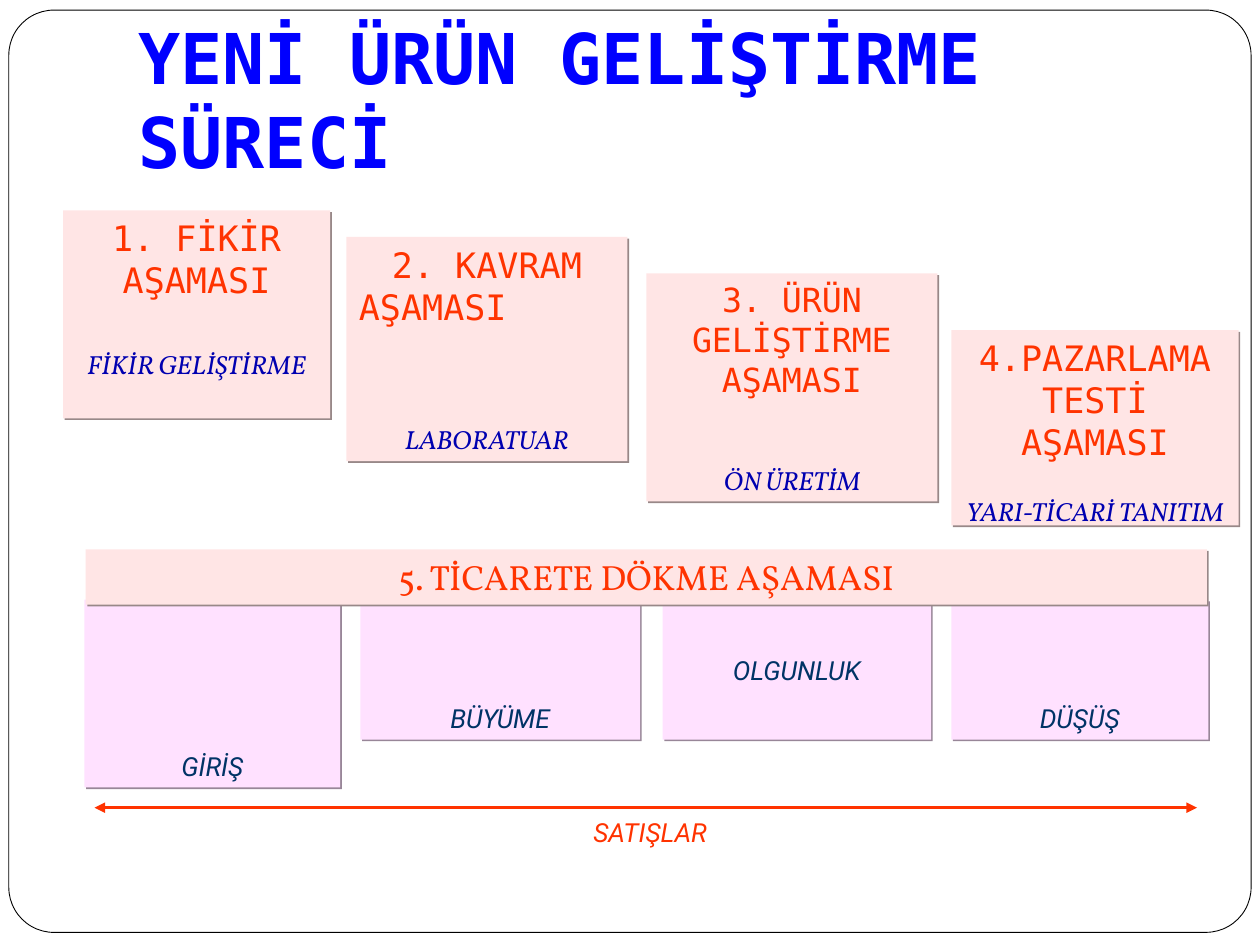
import pptx
import pptx.util
import pptx.dml.color
import pptx.enum.dml
import pptx.enum.shapes
import pptx.enum.text
import pptx.oxml
import pptx.oxml.ns
from pptx.util import Inches

MONO, SANS, SERIF = "DejaVu Sans Mono", "Roboto", "Vollkorn"
RED, NAVY, BLUE = "FF3300", "0000B0", "003366"
PINK, LILAC = "FFE5E5", "FFE1FF"
SHADOWS = {PINK: "988888", LILAC: "988698"}
ALIGN = pptx.enum.text.PP_ALIGN
ANCHOR = pptx.enum.text.MSO_ANCHOR
SHAPE = pptx.enum.shapes.MSO_SHAPE


def color(value):
    """Turn a hex string into a colour."""
    return pptx.dml.color.RGBColor.from_string(value)


def drawing_xml(tag, attributes="", content=""):
    """Make one DrawingML element."""
    space = pptx.oxml.ns.nsdecls("a")
    return pptx.oxml.parse_xml(f"<a:{tag} {space} {attributes}>{content}</a:{tag}>")


def add_text(para, text, font=SANS, size=15, ink=RED, bold=False, italic=False,
             align=ALIGN.CENTER, before=0):
    """Write formatted text into a paragraph."""
    para.alignment = align
    para.space_before = pptx.util.Pt(before)
    span = para.add_run()
    span.text = text
    span.font.name = font
    span.font.size = pptx.util.Pt(size)
    span.font.bold = bold
    span.font.italic = italic
    span.font.color.rgb = color(ink)


def prepare_frame(shape, anchor, bottom=0.05):
    """Set wrapping, anchor and insets of a shape's text."""
    frame = shape.text_frame
    frame.word_wrap = True
    frame.auto_size = pptx.enum.text.MSO_AUTO_SIZE.NONE
    frame.vertical_anchor = anchor
    frame.margin_left = frame.margin_right = Inches(0.1)
    frame.margin_top, frame.margin_bottom = Inches(0.05), Inches(bottom)
    return frame


def add_panel(page, box, fill, anchor=ANCHOR.TOP):
    """Add a rectangle with a thin hard shadow and return its text frame."""
    panel = page.shapes.add_shape(SHAPE.RECTANGLE, *map(Inches, box))
    panel.fill.solid()
    panel.fill.fore_color.rgb = color(fill)
    panel.line.fill.background()
    panel._element.spPr.append(drawing_xml(
        "effectLst", content='<a:outerShdw dist="17780" dir="2700000" algn="ctr" '
        f'rotWithShape="0"><a:srgbClr val="{SHADOWS[fill]}"/></a:outerShdw>'))
    return prepare_frame(panel, anchor)


def add_border(page, box):
    """Add the rounded page border behind everything else."""
    border = page.shapes.add_shape(SHAPE.ROUNDED_RECTANGLE, *map(Inches, box))
    border.adjustments[0] = 0.049
    border.shadow.inherit = False
    border.fill.solid()
    border.fill.fore_color.rgb = color("FFFFFF")
    border.line.color.rgb = color("000000")
    border.line.width = pptx.util.Pt(0.5)
    page.shapes._spTree.insert(2, border._element)


def add_title(page, box, text):
    """Place and format the title placeholder."""
    title = page.shapes.title
    title.left, title.top, title.width, title.height = map(Inches, box)
    frame = prepare_frame(title, ANCHOR.BOTTOM, bottom=0.1)
    add_text(frame.paragraphs[0], text, font=MONO, size=40, ink="0000FF",
             bold=True, align=ALIGN.LEFT)


def add_stage(page, box, headings, activity, gap, size=20):
    """Add a stage panel: heading lines, then the activity after a gap."""
    frame = add_panel(page, box, PINK)
    for index, (heading, align) in enumerate(headings):
        para = frame.add_paragraph() if index else frame.paragraphs[0]
        add_text(para, heading, font=MONO, size=size, align=align)
    add_text(frame.add_paragraph(), activity, font=SERIF, ink=NAVY,
             italic=True, before=gap)


def add_market_phases(page, left, top, width):
    """Add the commercialisation bar, its four phases and the sales arrow."""
    phases = [
        ("GİRİŞ", -0.01, 2.03, 1.49, ANCHOR.BOTTOM),
        ("BÜYÜME", 2.18, 2.22, 1.11, ANCHOR.BOTTOM),
        ("OLGUNLUK", 4.58, 2.13, 1.11, ANCHOR.MIDDLE),
        ("DÜŞÜŞ", 6.87, 2.04, 1.11, ANCHOR.BOTTOM),
    ]
    for name, offset, phase_width, height, anchor in phases:
        box = (left + offset, top + 0.4, phase_width, height)
        frame = add_panel(page, box, LILAC, anchor)
        add_text(frame.paragraphs[0], name, ink=BLUE, italic=True)

    bar = add_panel(page, (left, top, width, 0.44), PINK)
    add_text(bar.paragraphs[0], "5. TİCARETE DÖKME AŞAMASI", font=SERIF, size=20)

    arrow_y = Inches(top + 2.05)
    arrow = page.shapes.add_connector(
        pptx.enum.shapes.MSO_CONNECTOR.STRAIGHT,
        Inches(left + 0.07), arrow_y, Inches(left + width - 0.08), arrow_y)
    arrow.line.color.rgb = color(RED)
    arrow.line.width = pptx.util.Pt(2)
    line = arrow.line._get_or_add_ln()
    for end in ("headEnd", "tailEnd"):
        line.append(drawing_xml(end, 'type="triangle"'))
    arrow._element.spPr.append(drawing_xml("effectLst"))

    label = page.shapes.add_textbox(
        *map(Inches, (left + 2.74, top + 2.07, 3.48, 0.35)))
    frame = prepare_frame(label, ANCHOR.TOP)
    add_text(frame.paragraphs[0], "SATIŞLAR", italic=True)


def build_process_slide(deck):
    """Build the product development process slide."""
    page = deck.slides.add_slide(deck.slide_layouts[5])
    add_border(page, (0.07, 0.08, 9.86, 7.32))
    add_title(page, (1, 0.3, 8.5, 1.25), "YENİ ÜRÜN GELİŞTİRME SÜRECİ")
    center, left = ALIGN.CENTER, ALIGN.LEFT
    add_stage(page, (0.5, 1.67, 2.12, 1.65),
              [("1. FİKİR AŞAMASI", center)], "FİKİR GELİŞTİRME", 27)
    add_stage(page, (2.75, 1.88, 2.23, 1.78),
              [("2. KAVRAM", center), ("AŞAMASI", left)], "LABORATUAR", 55)
    add_stage(page, (5.13, 2.17, 2.31, 1.81),
              [("3. ÜRÜN GELİŞTİRME AŞAMASI", center)], "ÖN ÜRETİM", 37, size=19)
    add_stage(page, (7.55, 2.62, 2.28, 1.55),
              [("4.PAZARLAMA TESTİ AŞAMASI", center)], "YARI-TİCARİ TANITIM", 19)
    add_market_phases(page, 0.68, 4.36, 8.9)


deck = pptx.Presentation()
deck.slide_width, deck.slide_height = Inches(10), Inches(7.5)
build_process_slide(deck)
deck.save("out.pptx")
